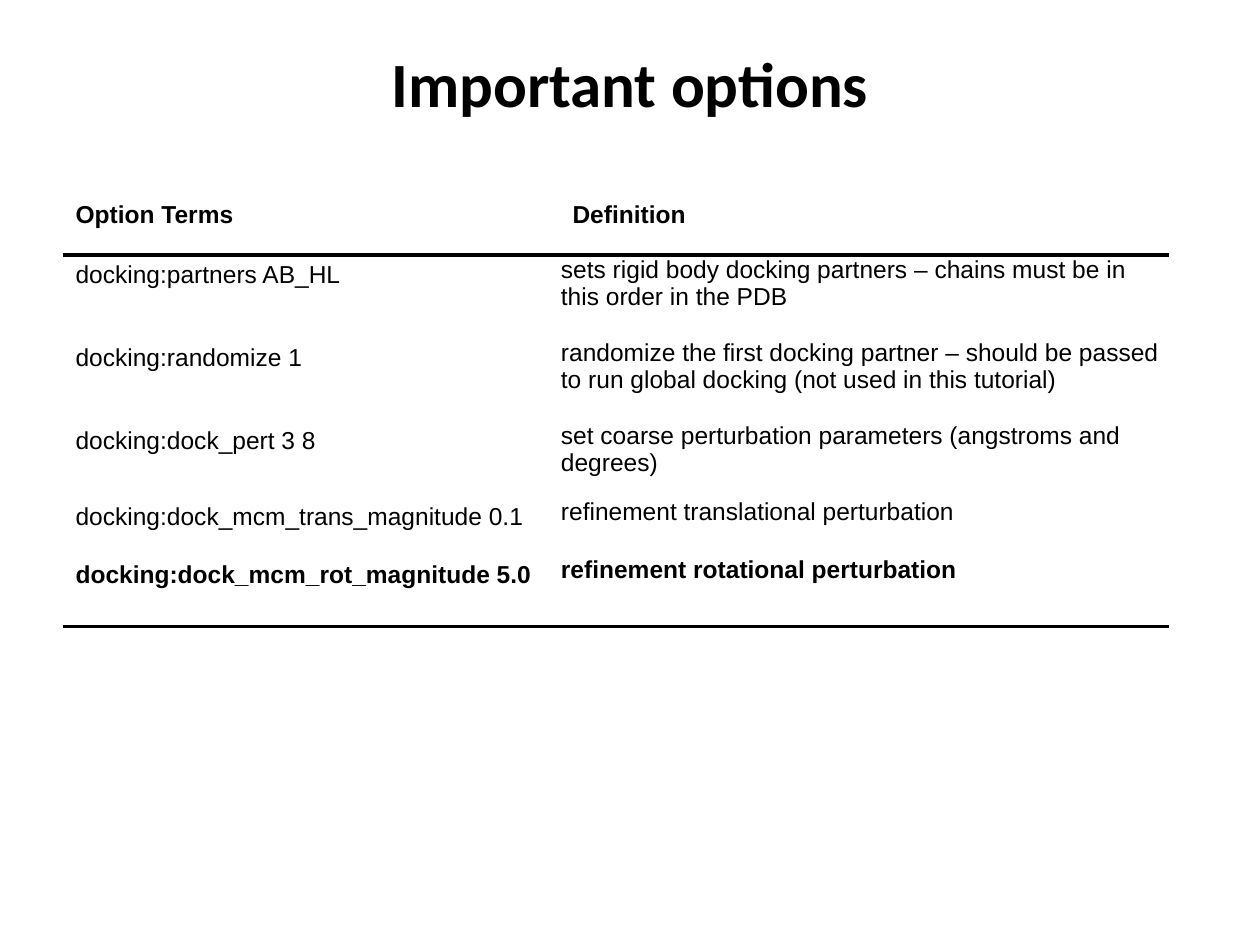
from dataclasses import dataclass

from lxml import etree
from pptx import Presentation
from pptx.dml.color import RGBColor
from pptx.enum.text import MSO_ANCHOR, PP_ALIGN
from pptx.oxml.ns import qn
from pptx.util import Pt

CENTER, LEFT = PP_ALIGN.CENTER, PP_ALIGN.LEFT
TOP, MIDDLE = MSO_ANCHOR.TOP, MSO_ANCHOR.MIDDLE
EMU_PER_PX = 914400 / 126


@dataclass(frozen=True)
class Theme:
    ink: str = "000000"
    paper: str = "FFFFFF"
    title_font: str = "Calibri"
    body_font: str = "Arial"
    title_size: int = 36
    body_size: int = 14
    rule_width: int = 2


@dataclass(frozen=True)
class OptionRow:
    term: str
    definition: str
    height: int
    bold: bool = False
    tight: bool = True  # definition sits close to its cell edges
    rule_above: bool = False
    rule_below: bool = False


THEME = Theme()
COLUMN_WIDTHS = (497, 609)
OPTION_ROWS = (
    OptionRow("Option Terms", "Definition", 60, bold=True, tight=False, rule_below=True),
    OptionRow("docking:partners AB_HL",
              "sets rigid body docking partners – chains must be in this order in the PDB",
              83, rule_above=True),
    OptionRow("docking:randomize 1",
              "randomize the first docking partner – should be passed to run global "
              "docking (not used in this tutorial)", 83),
    OptionRow("docking:dock_pert 3 8",
              "set coarse perturbation parameters (angstroms and degrees)", 76),
    OptionRow("docking:dock_mcm_trans_magnitude 0.1",
              "refinement translational perturbation", 58),
    OptionRow("docking:dock_mcm_rot_magnitude 5.0",
              "refinement rotational perturbation", 72, bold=True, rule_below=True),
)


def px(length: int) -> int:
    return round(length * EMU_PER_PX)


def write_text(frame, text: str, *, font: str, size: int, bold: bool = False,
               align=LEFT) -> None:
    paragraph = frame.paragraphs[0]
    paragraph.alignment = align
    run = paragraph.add_run()
    run.text = text
    run.font.name = font
    run.font.size = Pt(size)
    run.font.bold = bold
    run.font.color.rgb = RGBColor.from_string(THEME.ink)


def set_borders(cell, row: OptionRow) -> None:
    ruled = {"a:lnL": False, "a:lnR": False,
             "a:lnT": row.rule_above, "a:lnB": row.rule_below}
    properties = cell._tc.get_or_add_tcPr()
    for position, (side, visible) in enumerate(ruled.items()):
        line = etree.Element(qn(side))
        if visible:
            line.set("w", str(Pt(THEME.rule_width)))
            fill = etree.SubElement(line, qn("a:solidFill"))
            etree.SubElement(fill, qn("a:srgbClr"), val=THEME.ink)
        else:
            etree.SubElement(line, qn("a:noFill"))
        properties.insert(position, line)


def fill_cell(cell, text: str, row: OptionRow, *, tight: bool) -> None:
    cell.fill.solid()
    cell.fill.fore_color.rgb = RGBColor.from_string(THEME.paper)
    cell.vertical_anchor = TOP
    if tight:
        cell.margin_left = cell.margin_right = cell.margin_top = px(1)
        cell.margin_bottom = 0
    write_text(cell.text_frame, text, font=THEME.body_font,
               size=THEME.body_size, bold=row.bold)
    set_borders(cell, row)


def draw_title(slide, text: str) -> None:
    frame = slide.shapes.add_textbox(px(63), px(4), px(1134), px(157)).text_frame
    frame.word_wrap = True
    frame.vertical_anchor = MIDDLE
    write_text(frame, text, font=THEME.title_font, size=THEME.title_size,
               bold=True, align=CENTER)


def draw_options(slide, rows: tuple[OptionRow, ...]) -> None:
    options = slide.shapes.add_table(
        len(rows), len(COLUMN_WIDTHS), px(63), px(195),
        px(sum(COLUMN_WIDTHS)), px(sum(row.height for row in rows))).table
    options.horz_banding = False
    for column, width in zip(options.columns, COLUMN_WIDTHS):
        column.width = px(width)
    for index, row in enumerate(rows):
        options.rows[index].height = px(row.height)
        fill_cell(options.cell(index, 0), row.term, row, tight=False)
        fill_cell(options.cell(index, 1), row.definition, row, tight=row.tight)


def main() -> None:
    deck = Presentation()
    deck.slide_width, deck.slide_height = px(1260), px(945)
    slide = deck.slides.add_slide(deck.slide_layouts[6])
    # Heading
    draw_title(slide, "Important options")
    # Option terms and their definitions
    draw_options(slide, OPTION_ROWS)
    deck.save("out.pptx")


if __name__ == "__main__":
    main()
